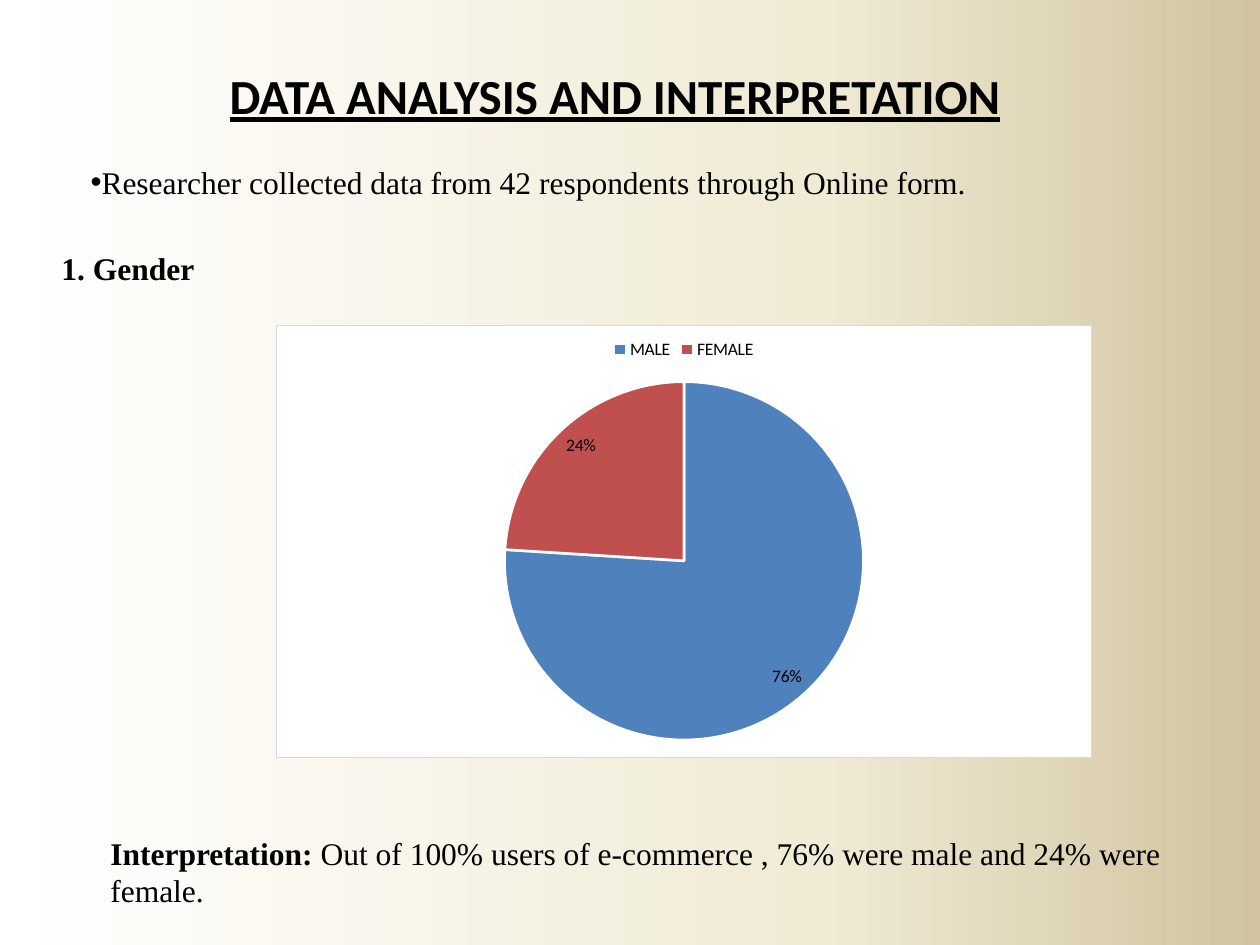
from copy import deepcopy

from lxml import etree
from pptx import Presentation
from pptx.chart.data import CategoryChartData
from pptx.dml.color import RGBColor
from pptx.enum.chart import XL_CHART_TYPE, XL_LABEL_POSITION, XL_LEGEND_POSITION
from pptx.enum.text import MSO_ANCHOR, MSO_AUTO_SIZE, PP_ALIGN
from pptx.oxml import parse_xml
from pptx.oxml.ns import qn
from pptx.util import Emu, Pt

# Content
TITLE = "DATA ANALYSIS AND INTERPRETATION"
INTRO = "Researcher collected data from 42 respondents through Online form."
HEADING = "1. Gender"
INTERPRETATION = [
    ("Interpretation: ", True),
    ("Out of 100% users of e-commerce , 76% were male and 24% were female.", False),
]
GENDER = [("MALE", 76, "male"), ("FEMALE", 24, "female")]

COLORS = {
    "text": "000000", "white": "FFFFFF", "border": "D9D9D9",
    "male": "4F81BD", "female": "C0504D",
}
BACKGROUND = [(0, "FFFFFF"), (65, "F0EBD5"), (100, "D1C39F")]

# Left, top, width, height in px
BOXES = {
    "title": (217, 59, 805, 72),
    "intro": (78, 137, 1074, 71),
    "heading": (49, 227, 207, 63),
    "chart": (276, 325, 816, 433),
    "interpretation": (98, 827, 1123, 89),
}
PX = 914400 / 126


def px(n):
    return Emu(round(n * PX))


def rgb(name):
    return RGBColor.from_string(COLORS[name])


def place(sp, box):
    sp.left, sp.top, sp.width, sp.height = map(px, BOXES[box])


def write(sp, runs, size=18, font="Times New Roman", underline=False,
          align=PP_ALIGN.LEFT, anchor=MSO_ANCHOR.MIDDLE, spacing=1.0, wrap=True):
    """Fill a shape with one paragraph of (text, bold) runs."""
    tf = sp.text_frame
    tf.word_wrap, tf.vertical_anchor = wrap, anchor
    tf.auto_size = MSO_AUTO_SIZE.NONE
    p = tf.paragraphs[0]
    p.alignment, p.line_spacing = align, spacing
    p.space_before = Pt(0)
    for text, bold in runs:
        r = p.add_run()
        r.text = text
        r.font.size, r.font.name = Pt(size), font
        r.font.bold, r.font.underline = bold, underline
        r.font.color.rgb = rgb("text")
    return p


prs = Presentation()
prs.slide_width, prs.slide_height = px(1260), px(945)
s = prs.slides.add_slide(prs.slide_layouts[1])

# Background gradient
fill = s.background.fill
fill.gradient()
fill.gradient_angle = 0
first = fill.gradient_stops[0]
first.color.rgb = rgb("white")
stops = s.background.fill._fill._gradFill.find(qn("a:gsLst"))
sample = deepcopy(stops[0])
for gs in list(stops):
    stops.remove(gs)
for position, color in BACKGROUND:
    gs = deepcopy(sample)
    gs.set("pos", str(position * 1000))
    gs.find(qn("a:srgbClr")).set("val", color)
    stops.append(gs)

# Title and intro
title, intro = s.placeholders
place(title, "title")
write(title, [(TITLE, True)], size=28, font="Calibri", underline=True,
      anchor=MSO_ANCHOR.TOP, wrap=False)
place(intro, "intro")
p = write(intro, [(INTRO, False)], align=PP_ALIGN.JUSTIFY, spacing=1.5)
pPr = p._p.get_or_add_pPr()
pPr.set("marL", "0")
pPr.set("indent", "0")
etree.SubElement(pPr, qn("a:buChar")).set("char", "•")

# Heading and interpretation
for box, runs, spacing in [("heading", [(HEADING, True)], 1.5),
                           ("interpretation", INTERPRETATION, 1.0)]:
    write(s.shapes.add_textbox(*map(px, BOXES[box])), runs, spacing=spacing)

# Gender pie
data = CategoryChartData()
data.categories = [name for name, _, _ in GENDER]
data.add_series("Series 1", [value for _, value, _ in GENDER])
chart = s.shapes.add_chart(XL_CHART_TYPE.PIE, *map(px, BOXES["chart"]), data).chart
chart.has_title = False
chart.font.size, chart.font.name = Pt(10), "Calibri"
chart.font.color.rgb = rgb("text")
chart.has_legend = True
chart.legend.position = XL_LEGEND_POSITION.TOP
chart.legend.include_in_layout = False

plot = chart.plots[0]
plot.vary_by_categories = True
plot.has_data_labels = True
labels = plot.data_labels
labels.show_percentage, labels.show_value = True, False
labels.number_format, labels.number_format_is_linked = "0%", False
labels.position = XL_LABEL_POSITION.INSIDE_END
for i, (_, _, color) in enumerate(GENDER):
    fmt = plot.series[0].points[i].format
    fmt.fill.solid()
    fmt.fill.fore_color.rgb = rgb(color)
    fmt.line.color.rgb = rgb("white")
    fmt.line.width = Pt(1.5)

# Chart area fill and border
area = parse_xml(
    '<c:spPr xmlns:c="http://schemas.openxmlformats.org/drawingml/2006/chart"'
    ' xmlns:a="http://schemas.openxmlformats.org/drawingml/2006/main">'
    f'<a:solidFill><a:srgbClr val="{COLORS["white"]}"/></a:solidFill>'
    f'<a:ln w="{Pt(0.75)}"><a:solidFill><a:srgbClr val="{COLORS["border"]}"/>'
    '</a:solidFill></a:ln></c:spPr>')
chart._chartSpace.find(qn("c:chart")).addnext(area)

prs.save("out.pptx")
